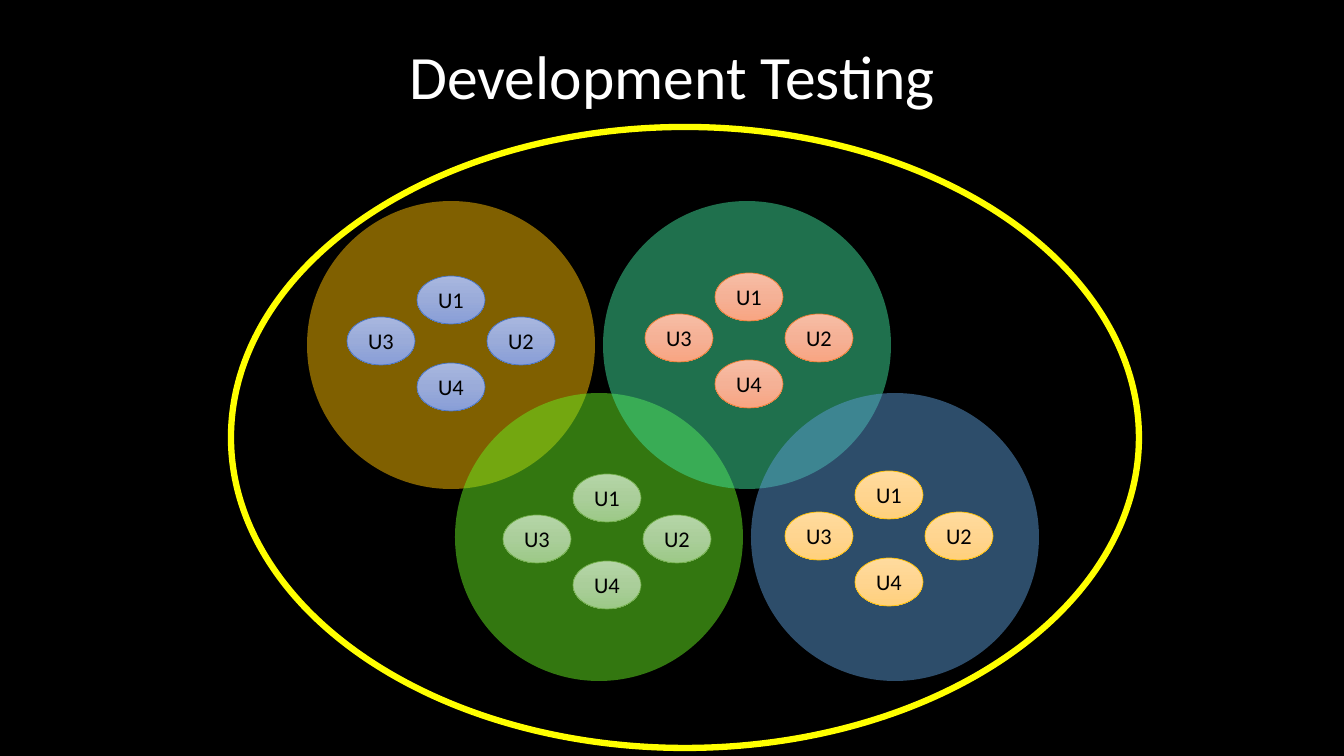
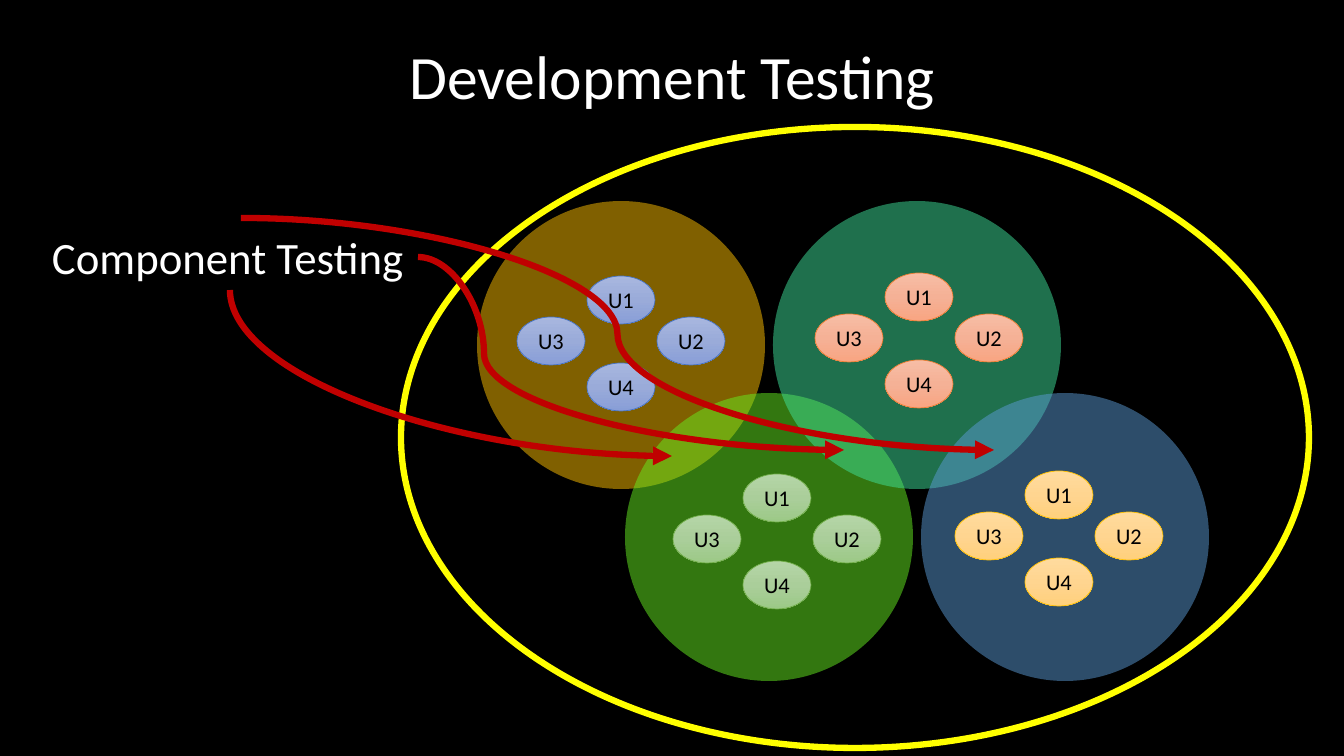
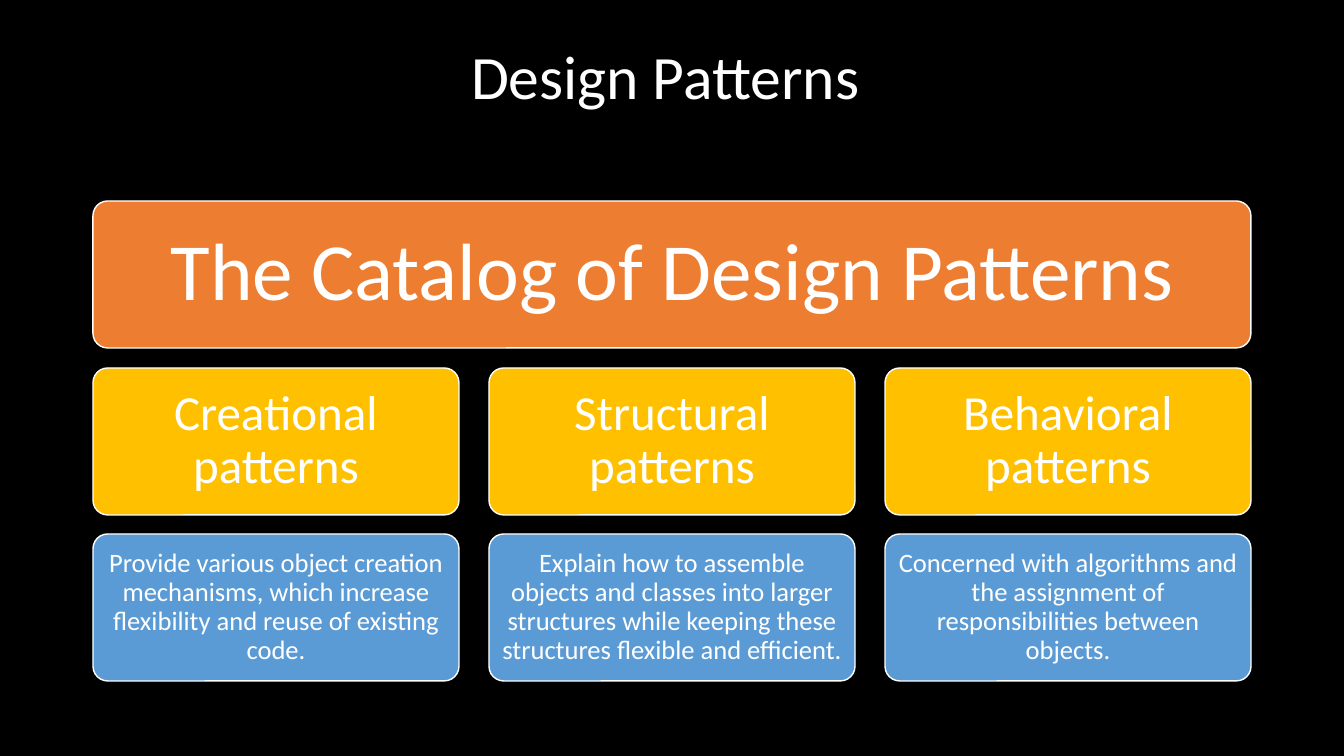
from copy import deepcopy

from pptx import Presentation
from pptx.dml.color import RGBColor
from pptx.enum.shapes import MSO_CONNECTOR, MSO_SHAPE
from pptx.enum.text import MSO_ANCHOR, PP_ALIGN
from pptx.oxml.ns import qn
from pptx.oxml.xmlchemy import OxmlElement
from pptx.util import Emu, Pt

PX = 12192000 / 1344
FONT = "Calibri"
COLORS = {
    "background": "000000",
    "text": "FFFFFF",
    "unit_text": "000000",
    "ring": "FFFF00",
    "arrow": "C00000",
    "catalog": "ED7D31",
    "pattern": "FFC000",
    "purpose": "5B9BD5",
}
COMPONENTS = [
    (201, "FFC000"),
    (393, "67EF21"),
    (201, "3FE19B"),
    (393, "5B9BD5"),
]
CLUSTERS = [
    (417, 276, ("A8B7DF", "9AABD9", "889ED7"), "4472C4"),
    (715, 273, ("F7BDA5", "F5B196", "F8A582"), "ED7D31"),
    (573, 474, ("B5D5A7", "AACE9A", "9CC987"), "70AD47"),
    (855, 471, ("FFDB9E", "FFD590", "FFD07C"), "FFC000"),
]
UNITS = [("U1", 0, 0), ("U2", 70, 41), ("U4", 0, 87), ("U3", -70, 41)]
ARROWS = [
    ((418, 257, 844, 450), "curvedConnector3", 0, 15500),
    ((534, 152, 368, 594), "curvedConnector2", 270, None),
    ((241, 218, 994, 450), "curvedConnector3", 0, 50000),
]
PATTERNS = [
    ("Creational patterns",
     "Provide various object creation mechanisms, which increase flexibility and reuse of existing code."),
    ("Structural patterns",
     "Explain how to assemble objects and classes into larger structures while keeping these structures "
     "flexible and efficient."),
    ("Behavioral patterns",
     "Concerned with algorithms and the assignment of responsibilities between objects."),
]


def add_box(slide, kind, *bounds):
    box = [Emu(round(length * PX)) for length in bounds]
    if kind is None:
        return slide.shapes.add_textbox(*box)
    shape = slide.shapes.add_shape(kind, *box)
    shape.shadow.inherit = False
    return shape


def write(shape, text, size, color="text", inset=0, spacing=0.9, align=PP_ALIGN.CENTER, wrap=True):
    frame = shape.text_frame
    frame.text = text
    frame.word_wrap = wrap
    frame.vertical_anchor = MSO_ANCHOR.MIDDLE
    frame.margin_left = frame.margin_right = Emu(round(inset * PX))
    frame.margin_top = frame.margin_bottom = Emu(round(inset * PX))
    paragraph = frame.paragraphs[0]
    paragraph.alignment = align
    paragraph.line_spacing = spacing
    font = paragraph.runs[0].font
    font.name = FONT
    font.size = Pt(size)
    font.color.rgb = RGBColor.from_string(COLORS[color])


prs = Presentation()
prs.slide_width = Emu(round(1344 * PX))
prs.slide_height = Emu(round(756 * PX))
backdrop = prs.slide_master.background.fill
backdrop.solid()
backdrop.fore_color.rgb = RGBColor.from_string(COLORS["background"])

slides = []
for heading in ("Development Testing", "Development Testing", "Design Patterns "):
    slide = prs.slides.add_slide(prs.slide_layouts[6])
    write(add_box(slide, None, 93, 7, 1159, 146), heading, 44)
    slides.append(slide)
overview, testing, catalog = slides

for slide, shift in ((overview, 0), (testing, 170)):
    for index, (top, color) in enumerate(COMPONENTS):
        component = add_box(slide, MSO_SHAPE.OVAL, 307 + shift + 148 * index, top, 288, 288)
        component.fill.solid()
        component.fill.fore_color.rgb = RGBColor.from_string(color)
        component.line.fill.background()
        alpha = OxmlElement("a:alpha")
        alpha.set("val", "50000")
        component._element.spPr.find(qn("a:solidFill"))[0].append(alpha)

    for left, top, gradient, outline in CLUSTERS:
        for label, dx, dy in UNITS:
            unit = add_box(slide, MSO_SHAPE.OVAL, left + shift + dx, top + dy, 68, 48)
            unit.fill.gradient()
            unit.fill.gradient_angle = 270
            stop_list = unit._element.spPr.find(qn("a:gradFill")).find(qn("a:gsLst"))
            stop_list.insert(1, deepcopy(stop_list[0]))
            for stop, position, color in zip(unit.fill.gradient_stops, (0, 0.5, 1), gradient):
                stop.position = position
                stop.color.rgb = RGBColor.from_string(color)
            unit.line.color.rgb = RGBColor.from_string(outline)
            unit.line.width = Pt(0.5)
            write(unit, label, 16, "unit_text", spacing=1.0)

    ring = add_box(slide, MSO_SHAPE.OVAL, 231 + shift, 127, 908, 621)
    ring.fill.background()
    ring.line.color.rgb = RGBColor.from_string(COLORS["ring"])
    ring.line.width = Pt(4.5)

component_label = add_box(testing, None, 42, 225, 376, 64)
write(component_label, "Component Testing", 32, inset=10, spacing=1.0, align=PP_ALIGN.LEFT, wrap=False)

for ends, preset, turn, bend in ARROWS:
    arrow = testing.shapes.add_connector(MSO_CONNECTOR.CURVE, *[Emu(round(end * PX)) for end in ends])
    arrow.line.color.rgb = RGBColor.from_string(COLORS["arrow"])
    arrow.line.width = Pt(4.5)
    properties = arrow._element.spPr
    properties.find(qn("a:xfrm")).set("rot", str(turn * 60000))
    geometry = properties.find(qn("a:prstGeom"))
    geometry.set("prst", preset)
    if bend is not None:
        guide = OxmlElement("a:gd")
        guide.set("name", "adj1")
        guide.set("fmla", f"val {bend}")
        geometry.find(qn("a:avLst")).append(guide)
    arrowhead = OxmlElement("a:tailEnd")
    arrowhead.set("type", "triangle")
    properties.find(qn("a:ln")).append(arrowhead)
    properties.append(OxmlElement("a:effectLst"))

cards = [(93, 201, 1158, "catalog", "The Catalog of Design Patterns", 58, 24)]
for column, (pattern, purpose) in enumerate(PATTERNS):
    left = 93 + 396 * column
    cards.append((left, 368, 366, "pattern", pattern, 35, 15))
    cards.append((left, 534, 366, "purpose", purpose, 19, 8))

for left, top, width, color, text, size, inset in cards:
    card = add_box(catalog, MSO_SHAPE.ROUNDED_RECTANGLE, left, top, width, 147)
    card.adjustments[0] = 0.1
    card.fill.solid()
    card.fill.fore_color.rgb = RGBColor.from_string(COLORS[color])
    card.line.color.rgb = RGBColor.from_string(COLORS["text"])
    card.line.width = Pt(1)
    write(card, text, size, inset=inset)

prs.save("out.pptx")
